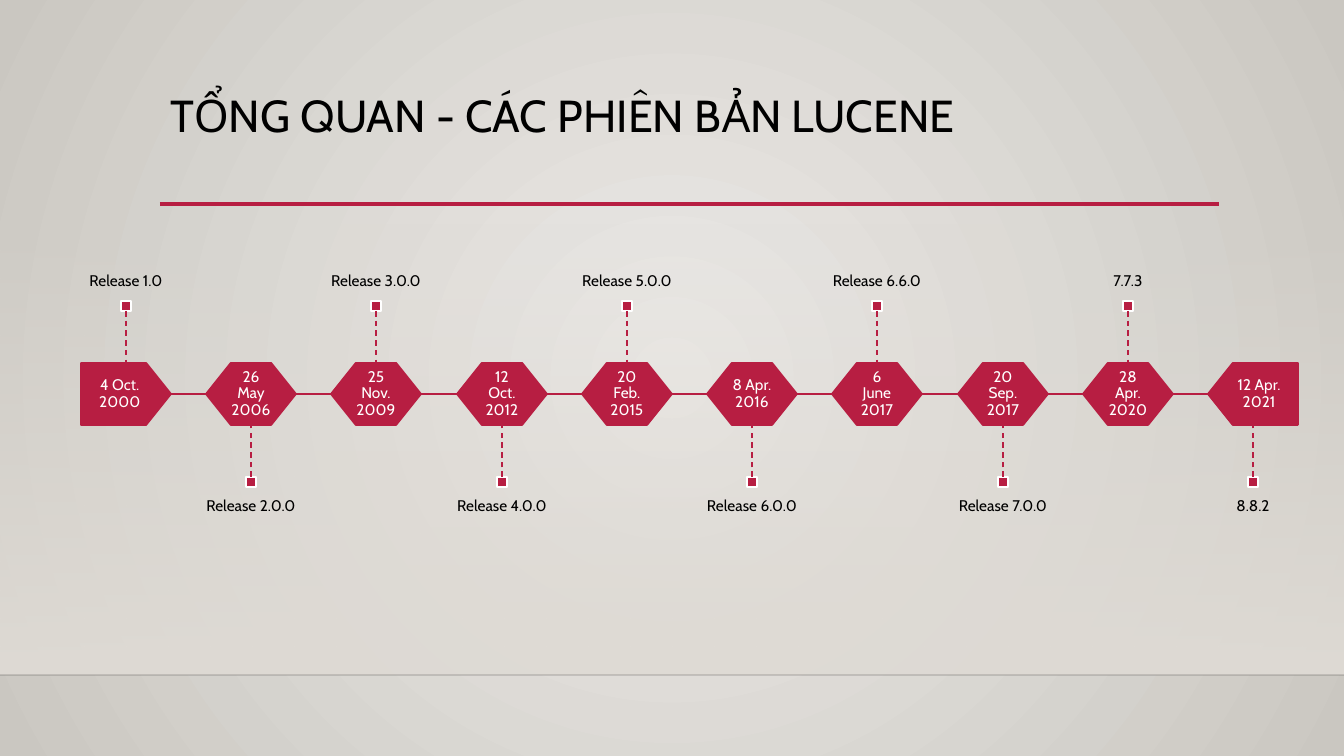
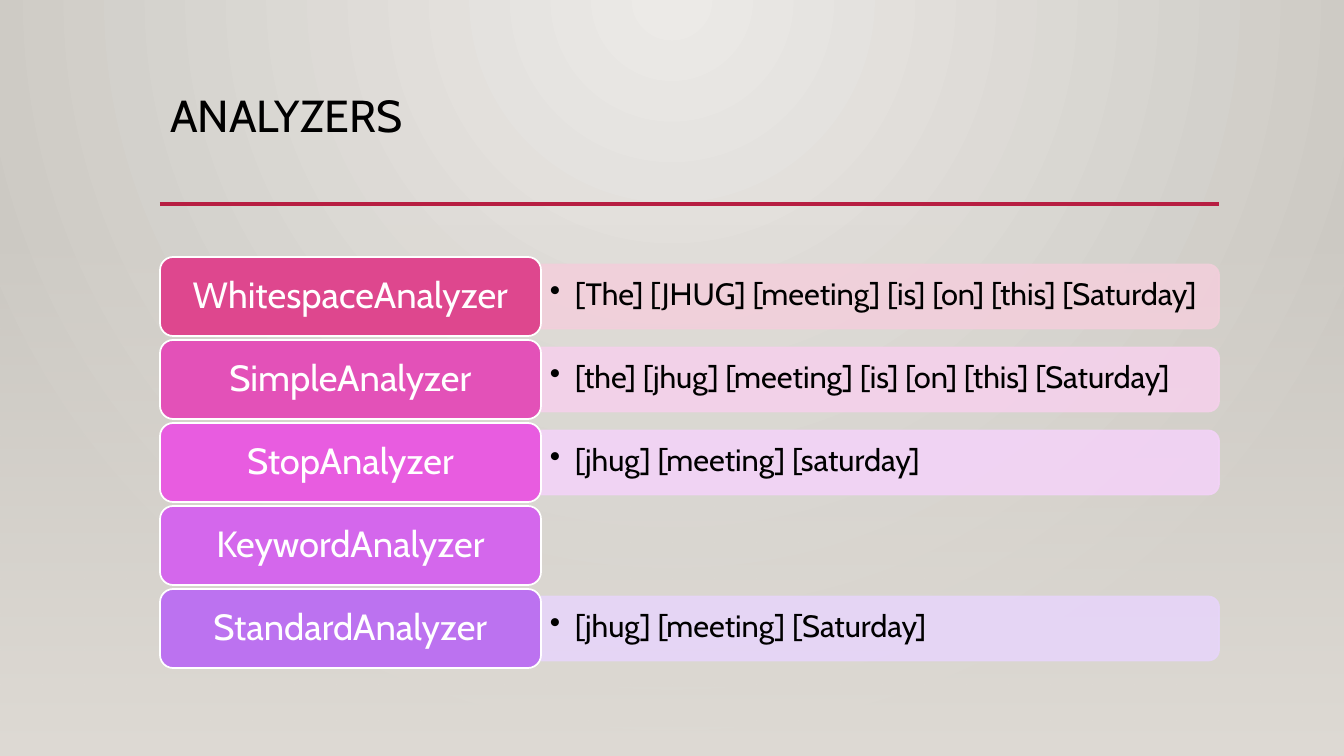
import pptx
import pptx.util
import pptx.dml.color
import pptx.enum.dml
import pptx.enum.shapes
import pptx.enum.text
import pptx.oxml.ns
import pptx.oxml.xmlchemy

SHAPE = pptx.enum.shapes.MSO_SHAPE
ALIGN = pptx.enum.text.PP_ALIGN
ANCHOR = pptx.enum.text.MSO_ANCHOR
DASH = pptx.enum.dml.MSO_LINE
qn = pptx.oxml.ns.qn
new_element = pptx.oxml.xmlchemy.OxmlElement

EMU_PER_PX = 914400 / 100.8
WIDTH, HEIGHT = 1344, 756
LEFT, RIGHT = 160, 1219

RELEASES = [
    ("4 Oct. 2000", "Release 1.0"),
    ("26 May 2006", "Release 2.0.0"),
    ("25 Nov. 2009", "Release 3.0.0"),
    ("12 Oct. 2012", "Release 4.0.0"),
    ("20 Feb. 2015", "Release 5.0.0"),
    ("8 Apr. 2016", "Release 6.0.0"),
    ("6 June 2017", "Release 6.6.0"),
    ("20 Sep. 2017", "Release 7.0.0"),
    ("28 Apr. 2020", "7.7.3"),
    ("12 Apr. 2021", "8.8.2"),
]

ANALYZERS = [
    ("WhitespaceAnalyzer", "[The] [JHUG] [meeting] [is] [on] [this] [Saturday]", "DE478E", "F2CFDB"),
    ("SimpleAnalyzer", "[the] [jhug] [meeting] [is] [on] [this] [Saturday]", "E351B8", "F5D1EB"),
    ("StopAnalyzer", "[jhug] [meeting] [saturday]", "E85CE0", "F3D3F7"),
    ("KeywordAnalyzer", None, "D467EC", None),
    ("StandardAnalyzer", "[jhug] [meeting] [Saturday]", "BC72F0", "E7D5F9"),
]


def px(n):
    return pptx.util.Emu(round(n * EMU_PER_PX))


def rgb(code):
    return pptx.dml.color.RGBColor.from_string(code)


def add_xml(parent, tag, **attributes):
    """Append an empty DrawingML element and return it."""
    child = new_element(tag)
    for name, value in attributes.items():
        child.set(name, str(value))
    parent.append(child)
    return child


def set_alpha(element, percent, count=None):
    """Make the first count colours (all by default) of an element see-through."""
    for color in list(element.iter(qn("a:srgbClr")))[:count]:
        add_xml(color, "a:alpha", val=percent * 1000)


class Deck:
    font = "Cabin"
    accent, black, white = "B71E42", "000000", "FFFFFF"
    glow = ("ECEAE7", "CAC7C1")
    band = "DFDBD5"

    def __init__(self):
        self.prs = pptx.Presentation()
        self.prs.slide_width, self.prs.slide_height = px(WIDTH), px(HEIGHT)
        self.s = None

    def slide(self, title, focus, band_bottom):
        """Start a slide; focus is the left, top, right, bottom of the glow in percent."""
        self.s = self.prs.slides.add_slide(self.prs.slide_layouts[5])
        self.gradient(self.s.background.fill, *self.glow)
        lin = next(self.s.element.iter(qn("a:lin")))
        glow_shape = new_element("a:path")
        glow_shape.set("path", "circle")
        sides = {side: p * 1000 for side, p in zip("ltrb", focus)}
        add_xml(glow_shape, "a:fillToRect", **sides)
        lin.getparent().replace(lin, glow_shape)

        sp = self.shape(SHAPE.RECTANGLE, 0, 223, WIDTH, band_bottom - 223)
        self.gradient(sp.fill, self.band, self.band)
        sp.fill.gradient_angle = 270
        set_alpha(sp.element, 0, 1)
        self.line(LEFT, 204, RIGHT, 204, width=2.5)

        sp = self.s.shapes.title
        sp.left, sp.top, sp.width, sp.height = px(LEFT), px(89), px(1058), px(116)
        self.text(sp, title, 32, self.black, anchor=ANCHOR.TOP)

    def gradient(self, fill, first, last):
        fill.gradient()
        for stop, color in zip(fill.gradient_stops, (first, last)):
            stop.color.rgb = rgb(color)

    def shape(self, kind, x, y, w, h, fill=None, line=None):
        sp = self.s.shapes.add_shape(kind, px(x), px(y), px(w), px(h))
        sp.shadow.inherit = False
        if fill:
            sp.fill.solid()
            sp.fill.fore_color.rgb = rgb(fill)
        if line:
            sp.line.color.rgb = rgb(line)
            sp.line.width = pptx.util.Pt(1.25)
        else:
            sp.line.fill.background()
        return sp

    def line(self, x1, y1, x2, y2, color=accent, width=1.25, dash=None):
        cn = self.s.shapes.add_connector(
            pptx.enum.shapes.MSO_CONNECTOR.STRAIGHT, px(x1), px(y1), px(x2), px(y2))
        cn.line.color.rgb = rgb(color)
        cn.line.width = pptx.util.Pt(width)
        if dash:
            cn.line.dash_style = dash
        add_xml(cn.element.spPr, "a:effectLst")
        return cn

    def text(self, sp, words, size, color, align=ALIGN.LEFT, anchor=ANCHOR.MIDDLE,
             inset=(10, 5), bullet=False):
        """Write one paragraph into a shape; inset is horizontal, vertical."""
        tf = sp.text_frame
        tf.word_wrap = True
        tf.auto_size = pptx.enum.text.MSO_AUTO_SIZE.NONE
        tf.vertical_anchor = anchor
        tf.margin_left = tf.margin_right = px(inset[0])
        tf.margin_top = tf.margin_bottom = px(inset[1])
        p = tf.paragraphs[0]
        p.alignment = align
        p.line_spacing = 0.9
        if bullet:
            pPr = p._p.get_or_add_pPr()
            pPr.set("marL", str(px(25)))
            pPr.set("indent", str(px(-25)))
            add_xml(pPr, "a:buChar", char="•")
        r = p.add_run()
        r.text = words
        r.font.name = self.font
        r.font.size = pptx.util.Pt(size)
        r.font.color.rgb = rgb(color)

    def textbox(self, x, y, w, h, words, size, **style):
        sp = self.s.shapes.add_textbox(px(x), px(y), px(w), px(h))
        self.text(sp, words, size, self.black, **style)


def timeline(deck):
    deck.slide("TỔNG QUAN - CÁC PHIÊN BẢN LUCENE", (50, 50, 50, 50), 675)
    floor = deck.line(0, 675, WIDTH, 675, "000001", 1)
    set_alpha(floor.element, 20)

    first, span, top, w, h = 81, 1127, 363, 90, 62
    marker, stem, label_w, label_h = 10, 52, 125, 163
    last = len(RELEASES) - 1
    lefts = [first + round(span * i / last) for i in range(last + 1)]
    for x, following in zip(lefts, lefts[1:]):
        deck.line(x + w, top + h / 2, following, top + h / 2)

    for i, (x, (date, release)) in enumerate(zip(lefts, RELEASES)):
        kind = SHAPE.PENTAGON if i in (0, last) else SHAPE.HEXAGON
        sp = deck.shape(kind, x, top, w, h, deck.accent, deck.accent)
        sp.adjustments[0] = 0.4
        if i == last:
            sp.element.spPr.find(qn("a:xfrm")).set("flipH", "1")
        deck.text(sp, date, 11, deck.white, ALIGN.CENTER, inset=(9, 9))

        center = x + w / 2
        above = i % 2 == 0
        edge = top if above else top + h
        marker_y = edge - stem - marker if above else edge + stem
        label_y = marker_y - label_h if above else marker_y + marker
        box = deck.shape(SHAPE.RECTANGLE, center - marker / 2, marker_y, marker, marker,
                         deck.accent, deck.white)
        marker_edge = marker_y + marker if above else marker_y
        cn = deck.line(center, marker_edge, center, edge, width=1, dash=DASH.DASH)
        cn.begin_connect(box, 2 if above else 0)
        deck.textbox(center - label_w / 2, label_y, label_w, label_h, release, 11,
                     align=ALIGN.CENTER, inset=(0, 11),
                     anchor=ANCHOR.BOTTOM if above else ANCHOR.TOP)


def analyzers(deck):
    deck.slide("ANALYZERS", (43, 0, 43, 100), HEIGHT)
    top, pitch, name_w, name_h, bar_h = 257, 83, 381, 79, 64
    bar_x = LEFT + name_w
    bar_w = RIGHT - bar_x
    for i, (name, tokens, color, tint) in enumerate(ANALYZERS):
        y = top + pitch * i
        if tokens:
            # The bar is upright before it is turned to round its right end.
            bar = deck.shape(SHAPE.ROUND_2_SAME_RECTANGLE, bar_x + (bar_w - bar_h) / 2,
                             y + (name_h - bar_w) / 2, bar_h, bar_w, tint, tint)
            bar.rotation = 90
            set_alpha(bar.element.spPr, 90)
            deck.textbox(bar_x, y + 11, 674, 56, tokens, 22, inset=(9, 5), bullet=True)
        sp = deck.shape(SHAPE.ROUNDED_RECTANGLE, LEFT, y, name_w, name_h, color, deck.white)
        deck.text(sp, name, 26, deck.white, ALIGN.CENTER, inset=(11, 5))


def main():
    deck = Deck()
    timeline(deck)
    analyzers(deck)
    deck.prs.save("out.pptx")


if __name__ == "__main__":
    main()
